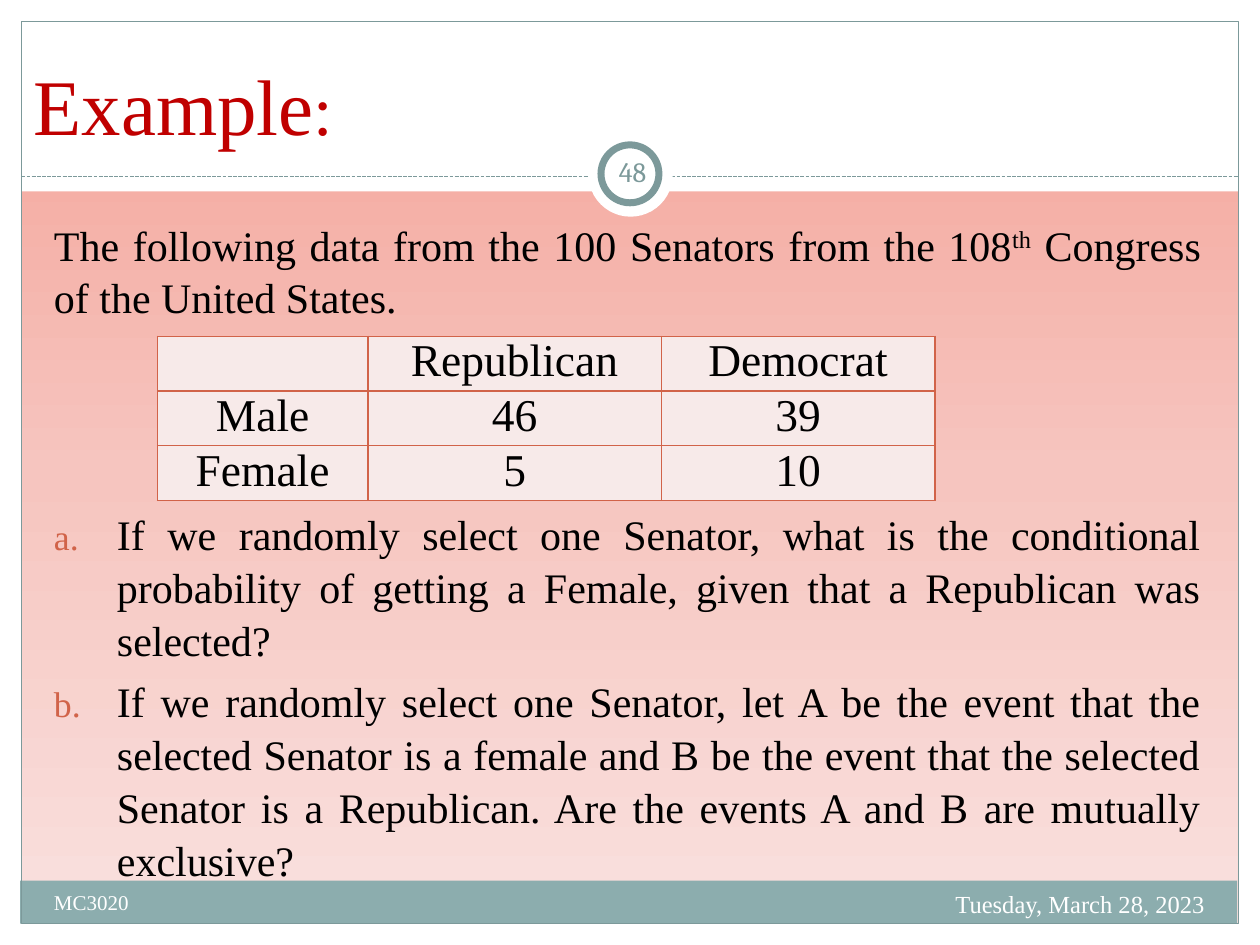
from copy import deepcopy

from lxml.etree import SubElement
from pptx import Presentation
from pptx.dml.color import RGBColor
from pptx.enum.dml import MSO_LINE
from pptx.enum.shapes import MSO_CONNECTOR, MSO_SHAPE
from pptx.enum.text import MSO_ANCHOR, PP_ALIGN
from pptx.oxml.ns import qn
from pptx.util import Inches, Pt

WHITE = RGBColor(0xFF, 0xFF, 0xFF)
BLACK = RGBColor(0, 0, 0)
RED = RGBColor(0xC0, 0, 0)
SLATE = RGBColor(0x7C, 0x99, 0x9A)
TEAL = RGBColor(0x8C, 0xAD, 0xAE)
RUST = RGBColor(0xD1, 0x63, 0x49)
CELL = RGBColor(0xF7, 0xEA, 0xE9)
GRADIENT = [
    (0, RGBColor(0xF4, 0xA0, 0x95)),
    (0.5, RGBColor(0xF6, 0xC5, 0xBF)),
    (1, RGBColor(0xFA, 0xE2, 0xE0)),
]
SERIF = "Times New Roman"

INTRO = "The following data from the 100 Senators from the 108"
QUESTIONS = [
    "If we randomly select one Senator, what is the conditional probability of "
    "getting a Female, given that a Republican was selected?",
    "If we randomly select one Senator, let A be the event that the selected "
    "Senator is a female and B be the event that the selected Senator is a "
    "Republican. Are the events A and B are mutually exclusive?",
]
SENATORS = [
    ["", "Republican", "Democrat"],
    ["Male", "46", "39"],
    ["Female", "5", "10"],
]


def set_background(slide):
    fill = slide.background.fill
    fill.gradient()
    fill.gradient_angle = 270
    first_stop = fill._fill._gradFill.find(qn("a:gsLst"))[0]
    first_stop.addnext(deepcopy(first_stop))
    for stop, (position, color) in zip(fill.gradient_stops, GRADIENT):
        stop.position = position
        stop.color.rgb = color


def add_panel(slide, box, fill=None, line_width=None, kind=MSO_SHAPE.RECTANGLE):
    shape = slide.shapes.add_shape(kind, *map(Inches, box))
    shape.shadow.inherit = False
    if fill is None:
        shape.fill.background()
    else:
        shape.fill.solid()
        shape.fill.fore_color.rgb = fill
    if line_width is None:
        shape.line.fill.background()
    else:
        shape.line.color.rgb = SLATE
        shape.line.width = Pt(line_width)


def add_dashed_line(slide, left, right, top):
    line = slide.shapes.add_connector(
        MSO_CONNECTOR.STRAIGHT, Inches(left), Inches(top), Inches(right), Inches(top)
    )
    line.line.color.rgb = SLATE
    line.line.width = Pt(0.75)
    line.line.dash_style = MSO_LINE.SQUARE_DOT
    SubElement(line._element.spPr, qn("a:effectLst"))


def add_run(paragraph, text, size, color, font=SERIF):
    run = paragraph.add_run()
    run.text = text
    run.font.size = Pt(size)
    run.font.name = font
    run.font.color.rgb = color
    return run


def add_text_box(slide, box, anchor=MSO_ANCHOR.TOP, align=PP_ALIGN.LEFT):
    frame = slide.shapes.add_textbox(*map(Inches, box)).text_frame
    frame.word_wrap = True
    frame.vertical_anchor = anchor
    frame.paragraphs[0].alignment = align
    return frame


def add_label(slide, box, text, size, align):
    frame = add_text_box(slide, box, align=align)
    add_run(frame.paragraphs[0], text, size, WHITE)


def number_paragraph(paragraph):
    properties = paragraph._p.get_or_add_pPr()
    properties.set("marL", str(Inches(0.5)))
    properties.set("indent", str(-Inches(0.5)))
    color = SubElement(properties, qn("a:buClr"))
    SubElement(color, qn("a:srgbClr"), val=str(RUST))
    SubElement(properties, qn("a:buSzPct"), val="85000")
    SubElement(properties, qn("a:buFont"), typeface=SERIF)
    SubElement(properties, qn("a:buAutoNum"), type="alphaLcPeriod")


def add_body(slide):
    frame = add_text_box(slide, (0.33, 1.67, 9.3, 5), align=PP_ALIGN.JUSTIFY)
    intro = frame.paragraphs[0]
    intro.line_spacing = 1.05
    add_run(intro, INTRO, 24, BLACK)
    ordinal = add_run(intro, "th", 24, BLACK)
    ordinal._r.get_or_add_rPr().set("baseline", "30000")
    add_run(intro, " Congress of the United States.", 24, BLACK)

    # The first question starts below the table
    for question, gap in zip(QUESTIONS, (105, 5)):
        paragraph = frame.add_paragraph()
        paragraph.alignment = PP_ALIGN.JUSTIFY
        paragraph.line_spacing = 1.05
        paragraph.space_before = Pt(gap)
        number_paragraph(paragraph)
        add_run(paragraph, question, 24, BLACK)


def set_borders(cell):
    properties = cell._tc.get_or_add_tcPr()
    for index, side in enumerate(("lnL", "lnR", "lnT", "lnB")):
        line = SubElement(properties, qn(f"a:{side}"), w=str(Pt(1)))
        fill = SubElement(line, qn("a:solidFill"))
        SubElement(fill, qn("a:srgbClr"), val=str(RUST))
        properties.insert(index, line)


def add_senator_table(slide):
    table = slide.shapes.add_table(
        3, 3, Inches(1.25), Inches(2.67), Inches(6.17), Inches(1.3)
    ).table
    for column, width in zip(table.columns, (1.67, 2.33, 2.17)):
        column.width = Inches(width)
    for row, values in zip(table.rows, SENATORS):
        row.height = Inches(0.43)
        for cell, value in zip(row.cells, values):
            cell.margin_left = cell.margin_right = Inches(0.07)
            cell.margin_top = cell.margin_bottom = 0
            cell.fill.solid()
            cell.fill.fore_color.rgb = CELL
            set_borders(cell)
            if value:
                paragraph = cell.text_frame.paragraphs[0]
                paragraph.alignment = PP_ALIGN.CENTER
                add_run(paragraph, value, 26, BLACK)


def add_slide_number(slide):
    frame = add_text_box(
        slide, (4.77, 1.12, 0.5, 0.48), MSO_ANCHOR.MIDDLE, PP_ALIGN.CENTER
    )
    frame.margin_left = frame.margin_right = Inches(0.05)
    add_run(frame.paragraphs[0], "48", 16, SLATE, "Cambria")


def main():
    presentation = Presentation()
    presentation.slide_width = Inches(10)
    presentation.slide_height = Inches(7.5)
    slide = presentation.slides.add_slide(presentation.slide_layouts[6])
    set_background(slide)

    # White margins, footer band and frame
    for box in (
        (0, 7.33, 10, 0.17),
        (0, 0, 10, 1.52),
        (0, 0, 0.17, 7.5),
        (9.83, 0, 0.17, 7.5),
    ):
        add_panel(slide, box, WHITE)
    add_panel(slide, (0.16, 6.99, 9.66, 0.34), TEAL)
    add_panel(slide, (0.17, 0.17, 9.66, 7.16), line_width=0.75)

    # Divider with number badge
    add_dashed_line(slide, 0.17, 9.83, 1.4)
    add_panel(slide, (4.67, 1.05, 0.67, 0.67), WHITE, kind=MSO_SHAPE.OVAL)
    add_panel(slide, (4.77, 1.15, 0.46, 0.46), WHITE, 4, MSO_SHAPE.OVAL)

    # Title
    title = add_text_box(slide, (0.17, 0.42, 9.33, 0.83), MSO_ANCHOR.BOTTOM)
    add_run(title.paragraphs[0], "Example", 45, RED)
    add_run(title.paragraphs[0], ":", 40, RED)

    # Content and footer
    add_body(slide)
    add_label(slide, (6.33, 7.01, 3.33, 0.4), "Tuesday, March 28, 2023", 14, PP_ALIGN.RIGHT)
    add_label(slide, (0.33, 7.01, 3.92, 0.4), "MC3020", 12, PP_ALIGN.LEFT)
    add_slide_number(slide)
    add_senator_table(slide)

    presentation.save("out.pptx")


if __name__ == "__main__":
    main()
